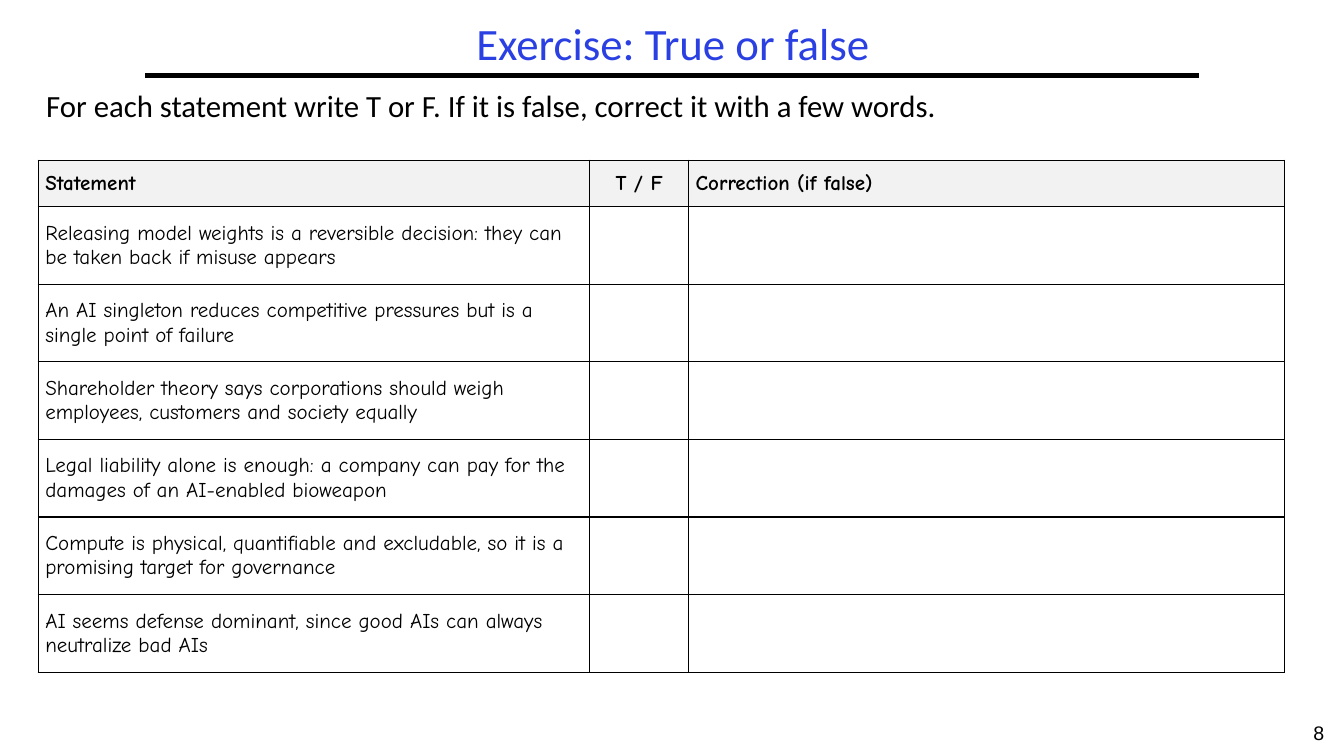
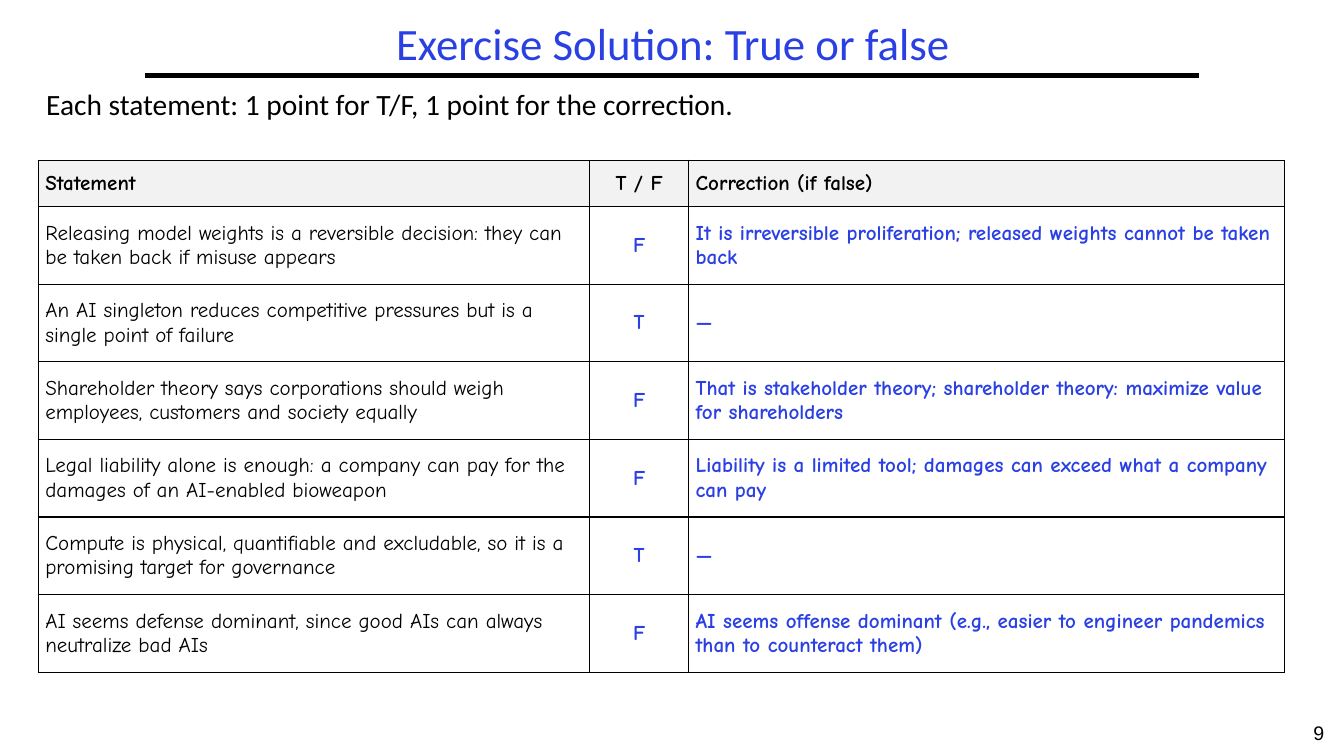
import pptx
import pptx.util
import pptx.dml.color
import pptx.enum.shapes
import pptx.enum.text
import pptx.oxml
import pptx.oxml.ns

PX = 9144  # EMU per px, 100 px to the inch
BLUE, BLACK, GREY = "2A40E2", "000000", "F2F2F2"
SANS, HAND, PLAIN = "Calibri", "Comic Neue", "Arial"
LEFT = pptx.enum.text.PP_ALIGN.LEFT
MID = pptx.enum.text.PP_ALIGN.CENTER
TOP = pptx.enum.text.MSO_ANCHOR.TOP
HALF = pptx.enum.text.MSO_ANCHOR.MIDDLE
NS = pptx.oxml.ns.nsdecls("a")

COLS = [547, 98, 591]
ROWS = [46] + [77] * 6
HEAD = ["Statement", "T / F", "Correction (if false)"]
# Statement, verdict, correction
ITEMS = [
    ("Releasing model weights is a reversible decision: they can be taken back if misuse appears",
     "F", "It is irreversible proliferation; released weights cannot be taken back"),
    ("An AI singleton reduces competitive pressures but is a single point of failure",
     "T", "—"),
    ("Shareholder theory says corporations should weigh employees, customers and society equally",
     "F", "That is stakeholder theory; shareholder theory: maximize value for shareholders"),
    ("Legal liability alone is enough: a company can pay for the damages of an AI-enabled bioweapon",
     "F", "Liability is a limited tool; damages can exceed what a company can pay"),
    ("Compute is physical, quantifiable and excludable, so it is a promising target for governance",
     "T", "—"),
    ("AI seems defense dominant, since good AIs can always neutralize bad AIs",
     "F", "AI seems offense dominant (e.g., easier to engineer pandemics than to counteract them)"),
]


def px(*nums):
    return [pptx.util.Emu(n * PX) for n in nums]


def rgb(code):
    return pptx.dml.color.RGBColor.from_string(code)


def write(para, text, size, face, color=BLACK, bold=False, align=LEFT):
    para.alignment = align
    run = para.add_run()
    run.text = text
    font = run.font
    font.size = pptx.util.Pt(size)
    font.name = face
    font.bold = bold
    font.color.rgb = rgb(color)


def label(slide, box, text, size, face, color=BLACK, align=LEFT, anchor=TOP, lead=1.0):
    frame = slide.shapes.add_textbox(*px(*box)).text_frame
    frame.word_wrap = True
    frame.vertical_anchor = anchor
    para = frame.paragraphs[0]
    para.line_spacing = lead
    write(para, text, size, face, color, align=align)


def header(slide, box, title):
    x, y, w, h = box
    # Rule under the title
    rule = slide.shapes.add_connector(
        pptx.enum.shapes.MSO_CONNECTOR.STRAIGHT, *px(x, y + h, x + w - 2, y + h))
    rule.line.color.rgb = rgb(BLACK)
    rule.line.width = pptx.util.Pt(3)
    rule._element.spPr.append(pptx.oxml.parse_xml(f"<a:effectLst {NS}/>"))
    label(slide, box, title, 32, SANS, BLUE, MID, HALF, 0.9)


def frame_cell(cell, fill):
    cell.margin_left, cell.margin_right, cell.margin_top, cell.margin_bottom = px(7, 7, 3, 3)
    cell.vertical_anchor = HALF
    props = cell._tc.get_or_add_tcPr()
    for side in "LRTB":
        props.append(pptx.oxml.parse_xml(
            f'<a:ln{side} {NS} w="12700"><a:solidFill><a:srgbClr val="{BLACK}"/>'
            f"</a:solidFill></a:ln{side}>"))
    if fill:
        cell.fill.solid()
        cell.fill.fore_color.rgb = rgb(fill)
    else:
        cell.fill.background()


def grid(slide, x, y, solved):
    table = slide.shapes.add_table(
        len(ROWS), len(COLS), *px(x, y, sum(COLS), sum(ROWS))).table
    table.first_row = table.horz_banding = False
    for col, wide in zip(table.columns, COLS):
        col.width = px(wide)[0]
    for row, high in zip(table.rows, ROWS):
        row.height = px(high)[0]
    for r, texts in enumerate([HEAD] + ITEMS):
        for c, text in enumerate(texts):
            cell = table.cell(r, c)
            frame_cell(cell, None if r else GREY)
            reply = r > 0 and c > 0
            if reply and not solved:
                continue
            write(cell.text_frame.paragraphs[0], text, 15, HAND,
                  BLUE if reply else BLACK, r == 0 or reply, MID if c == 1 else LEFT)


def exercise(deck, number, title, task, size, solved):
    slide = deck.slides.add_slide(deck.slide_layouts[6])
    header(slide, (144, 17, 1047, 58), title)
    label(slide, (36, 85, 1258, 73), task, size, SANS, lead=0.9)
    grid(slide, 38, 159, solved)
    # Page number
    label(slide, (1283, 710, 50, 40), str(number), 14, PLAIN, align=MID)


def main():
    deck = pptx.Presentation()
    deck.slide_width, deck.slide_height = px(1333, 750)
    exercise(deck, 8, "Exercise: True or false",
             "For each statement write T or F. If it is false, correct it with a few words.",
             22, False)
    exercise(deck, 9, "Exercise Solution: True or false",
             "Each statement: 1 point for T/F, 1 point for the correction.", 21, True)
    deck.save("out.pptx")


if __name__ == "__main__":
    main()
